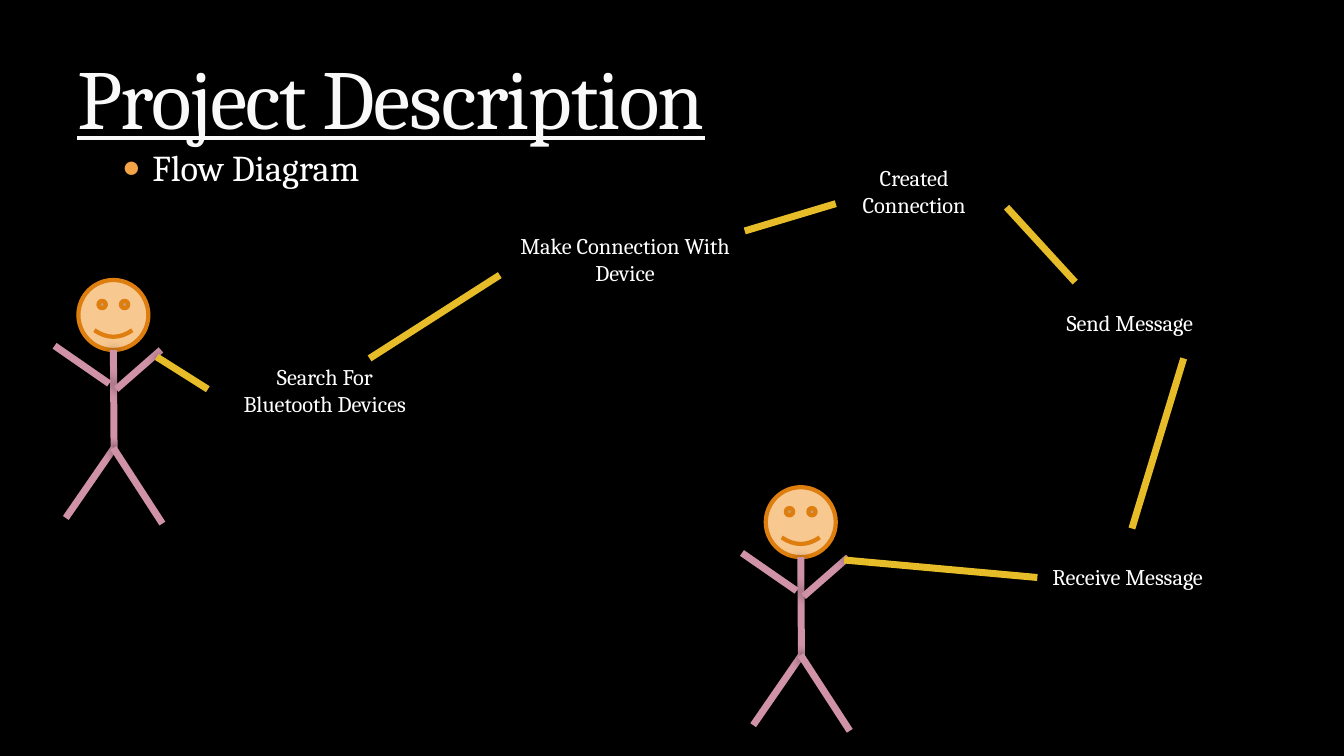
from lxml.etree import SubElement
from pptx import Presentation
from pptx.dml.color import RGBColor
from pptx.enum.shapes import MSO_CONNECTOR, MSO_SHAPE
from pptx.enum.text import MSO_ANCHOR, MSO_AUTO_SIZE, PP_ALIGN
from pptx.oxml import parse_xml
from pptx.oxml.ns import nsdecls, qn
from pptx.util import Pt

BLACK = RGBColor(0x00, 0x00, 0x00)
WHITE = RGBColor(0xFF, 0xFF, 0xFF)
PALE = RGBColor(0xF9, 0xF9, 0xF9)
PEACH = RGBColor(0xF8, 0xC8, 0x91)
ORANGE = RGBColor(0xDD, 0x7E, 0x0E)
PINK = RGBColor(0xD0, 0x92, 0xA7)
GOLD = RGBColor(0xE7, 0xBC, 0x29)

FONT = "Cambria"
TITLE = "Project Description"
TOPIC = "Flow Diagram"
HEAD = 50
USERS = [(56, 200), (547, 348)]
LIMBS = [
    (25, 50, 25.5, 123),
    (25.5, 120, -9, 170),
    (25, 120, 60, 174),
    (27, 78, 59, 50),
    (-17, 47, 22, 74),
]
STEPS = [
    ("Search For Bluetooth Devices", 160.5, 256, 143, 46, True),
    ("Make Connection With Device", 360, 162, 173, 46, True),
    ("Created Connection", 595.5, 114, 115, 46, True),
    ("Send Message", 751, 217, 112, 27, False),
    ("Receive Message", 741, 399, 129, 27, True),
]
LINKS = [
    (112, 255, 148.5, 278),
    (264, 256, 357, 196.5),
    (597, 145.5, 532, 165),
    (768, 201.5, 719, 148),
    (808.5, 377.5, 845.5, 256),
    (603, 400, 741, 412.5),
]


def style(para, size, color):
    """Format every run of a paragraph."""
    for run in para.runs:
        run.font.name = FONT
        run.font.size = Pt(size)
        run.font.color.rgb = color


def place(shape, *box):
    """Move and size a shape, in points."""
    shape.left, shape.top, shape.width, shape.height = map(Pt, box)


def draw_line(slide, ends, color):
    """Draw a thick line with a soft shadow."""
    line = slide.shapes.add_connector(MSO_CONNECTOR.STRAIGHT, *map(Pt, ends))
    line.line.color.rgb = color
    line.line.width = Pt(5)
    line._element.spPr.append(parse_xml(
        f'<a:effectLst {nsdecls("a")}><a:outerShdw blurRad="95250" dist="0">'
        f'<a:srgbClr val="{BLACK}"><a:alpha val="50000"/></a:srgbClr>'
        '</a:outerShdw></a:effectLst>'))
    return line


def draw_user(slide, left, top):
    """Draw a stick figure whose head starts at the given point."""
    face = slide.shapes.add_shape(
        MSO_SHAPE.SMILEY_FACE, Pt(left), Pt(top), Pt(HEAD), Pt(HEAD))
    face.shadow.inherit = False
    face.fill.solid()
    face.fill.fore_color.rgb = PEACH
    face.line.color.rgb = ORANGE
    face.line.width = Pt(3)
    for x1, y1, x2, y2 in LIMBS:
        draw_line(slide, (left + x1, top + y1, left + x2, top + y2), PINK)


def draw_step(slide, text, left, top, width, height, wrap):
    """Add one centred step label."""
    box = slide.shapes.add_textbox(*map(Pt, (left, top, width, height)))
    frame = box.text_frame
    frame.word_wrap = wrap
    frame.auto_size = MSO_AUTO_SIZE.SHAPE_TO_FIT_TEXT
    frame.text = text
    para = frame.paragraphs[0]
    para.alignment = PP_ALIGN.CENTER
    style(para, 16, WHITE)
    return box


def set_title(title):
    """Fill the title and give its letters a faint outline."""
    place(title, 48, 12, 864, 96)
    frame = title.text_frame
    frame.text = TITLE
    frame.vertical_anchor = MSO_ANCHOR.BOTTOM
    frame.auto_size = MSO_AUTO_SIZE.NONE
    para = frame.paragraphs[0]
    para.alignment = PP_ALIGN.LEFT
    style(para, 60, PALE)
    run = para.runs[0]
    run.font.underline = True
    props = run.font._element
    props.set("spc", "-100")
    props.insert(0, parse_xml(
        f'<a:ln {nsdecls("a")} w="3175"><a:solidFill><a:srgbClr val="3C4422">'
        '<a:alpha val="25000"/></a:srgbClr></a:solidFill></a:ln>'))


def set_topic(body):
    """Fill the body with its bulleted topic."""
    place(body, 80, 100, 796, 425)
    frame = body.text_frame
    frame.text = TOPIC
    frame.auto_size = MSO_AUTO_SIZE.NONE
    para = frame.paragraphs[0]
    para.space_before = Pt(0)
    props = para._p.get_or_add_pPr()
    props.set("marL", str(Pt(21.6)))
    props.set("indent", str(-Pt(21.6)))
    color = SubElement(props, qn("a:buClr"))
    SubElement(color, qn("a:srgbClr"), val="F3A447")
    SubElement(props, qn("a:buSzPct"), val="85000")
    SubElement(props, qn("a:buChar"), char="●")
    style(para, 26, WHITE)


def main():
    """Build the flow diagram slide."""
    deck = Presentation()
    deck.slide_width, deck.slide_height = Pt(960), Pt(540)
    slide = deck.slides.add_slide(deck.slide_layouts[1])
    slide.background.fill.solid()
    slide.background.fill.fore_color.rgb = BLACK
    set_title(slide.shapes.title)
    set_topic(slide.placeholders[1])
    for user in USERS:
        draw_user(slide, *user)
    boxes = [draw_step(slide, *step) for step in STEPS]
    lines = [draw_line(slide, link, GOLD) for link in LINKS]
    lines[-1].end_connect(boxes[-1], 1)
    deck.save("out.pptx")


if __name__ == "__main__":
    main()
